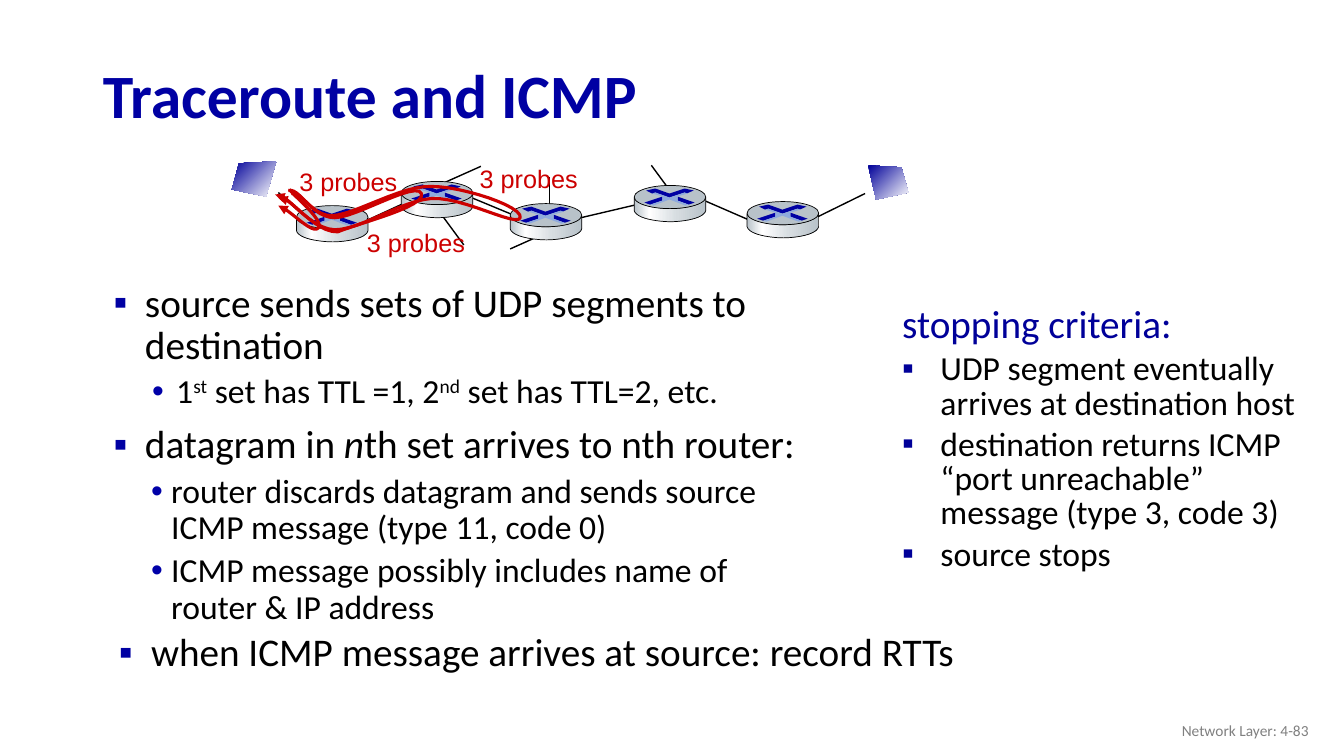
from dataclasses import dataclass

from lxml.etree import SubElement
from pptx import Presentation
from pptx.dml.color import RGBColor
from pptx.enum.shapes import MSO_CONNECTOR, MSO_SHAPE
from pptx.enum.text import MSO_ANCHOR, MSO_AUTO_SIZE, PP_ALIGN
from pptx.oxml.ns import qn
from pptx.util import Inches, Pt

Point = tuple[float, float]
Step = tuple[Point, ...]

SLIDE_WIDTH, SLIDE_HEIGHT = Inches(13.33), Inches(7.5)
COLUMN, ROW = SLIDE_WIDTH / 13.33, SLIDE_HEIGHT / 7.5
CURVE_PARTS = 12
NAVY, BLUE, BRIGHT, RED = "0000A3", "000099", "0000A8", "CC0000"
BLACK, WHITE, GREY, STEEL, PALE = "000000", "FFFFFF", "808080", "B8C2C9", "8FAADC"


@dataclass(frozen=True)
class Bullet:
    mark: str
    color: str
    margin: float
    hanging: float
    level: int = 0


@dataclass(frozen=True)
class Span:
    text: str
    italic: bool = False
    raised: bool = False


@dataclass(frozen=True)
class Entry:
    spans: tuple[Span, ...]
    size: int
    color: str = BLACK
    bullet: Bullet | None = None
    space_before: int = 0


@dataclass(frozen=True)
class TextArea:
    left: float
    top: float
    width: float
    height: float
    entries: tuple[Entry, ...]
    line_spacing: float = 1.0
    font: str = "Calibri"
    wrap: bool = True
    align: PP_ALIGN = PP_ALIGN.LEFT
    anchor: MSO_ANCHOR = MSO_ANCHOR.TOP


@dataclass(frozen=True)
class Outline:
    start: Point
    steps: tuple[Step, ...]
    fill: str | None = None
    stops: tuple[tuple[int, str], ...] = ()
    angle: int = 0
    line: str | None = None
    weight: float = 0.5
    arrow: bool = False


def straight(*points: Point) -> tuple[Step, ...]:
    return tuple((point,) for point in points)


def entry(text: str, size: int, color: str = BLACK, bullet: Bullet | None = None, space: int = 0) -> Entry:
    return Entry((Span(text),), size, color, bullet, space)


SQUARE = Bullet("▪", NAVY, 0.31, 0.31)
DOT = Bullet("•", BRIGHT, 0.62, 0.24, 1)
CLOSE_DOT = Bullet("•", BRIGHT, 0.57, 0.2, 1)
STOP_SQUARE = Bullet("▪", BLUE, 0.38, 0.38)

AREAS = (
    TextArea(10.08, 7.05, 3, 0.4, (entry("Network Layer: 4-83", 11, GREY),),
             align=PP_ALIGN.RIGHT, anchor=MSO_ANCHOR.MIDDLE),
    TextArea(1.03, 2.76, 7, 3.54, (
        entry("source sends sets of UDP segments to destination", 28, bullet=SQUARE),
        Entry((Span("1"), Span("st", raised=True), Span(" set has TTL =1, 2"), Span("nd", raised=True),
               Span(" set has TTL=2, etc.")), 24, BLACK, DOT, 5),
        Entry((Span("datagram in "), Span("n", italic=True), Span("th set arrives to nth router:")),
              28, BLACK, SQUARE, 10),
        entry("router discards datagram and sends source ICMP message (type 11, code 0)", 24, BLACK, CLOSE_DOT, 5),
        entry("ICMP message possibly includes name of router & IP address", 24, BLACK, CLOSE_DOT, 5),
    ), 0.9),
    TextArea(1.08, 6.23, 10.93, 0.6, (
        entry("when ICMP message arrives at source: record RTTs", 28, bullet=Bullet("▪", NAVY, 0.32, 0.32)),
    ), 0.9),
    TextArea(8.85, 2.99, 4.17, 2.81, (
        entry("stopping criteria:", 28, BLUE),
        entry("UDP segment eventually arrives at destination host", 24, BLACK, STOP_SQUARE, 5),
        entry("destination returns ICMP “port unreachable” message (type 3, code 3)", 24, BLACK, STOP_SQUARE, 5),
        entry("source stops", 24, BLACK, STOP_SQUARE, 5),
    ), 0.85),
) + tuple(
    TextArea(left, top, 1.17, 0.4, (entry("3 probes", 18, RED),), font="Arial", wrap=False)
    for left, top in ((2.87, 1.6), (3.54, 2.21), (4.66, 1.57))
)

LINKS = (
    ((2.76, 1.91), (3.08, 2.2)), ((3.63, 2.19), (4.13, 1.96)), ((4.65, 1.95), (5.18, 2.17)),
    ((4.77, 1.65), (4.39, 1.82)), ((4.35, 2.09), (4.6, 2.43)), ((6.4, 2.01), (5.72, 2.17)),
    ((6.94, 1.97), (7.47, 2.2)), ((8.58, 1.92), (7.97, 2.22)), ((6.46, 1.64), (6.71, 1.98)),
    ((5.44, 2.3), (5.06, 2.47)), ((5.45, 1.76), (5.45, 2.04)),
)

ROUTERS = ((2.94, 2.04), (3.98, 1.8), (5.06, 2.02), (6.29, 1.84), (7.41, 2.0))
ROUTER_BODY = Outline((0.71, 0.12), (
    ((0.71, 0.25),), ((0.69, 0.33), (0.48, 0.36), (0.36, 0.36)), ((0.24, 0.36), (0.02, 0.33), (0, 0.25)),
    ((0, 0.12),), ((0.03, 0.19), (0.23, 0.23), (0.35, 0.23)), ((0.47, 0.23), (0.68, 0.2), (0.71, 0.12)),
), stops=((0, STEEL), (21, WHITE), (60, "D6DCE0"), (100, STEEL)), line=BLACK)
ROUTER_MARKS = (
    Outline((0.5, 0.03), straight((0.59, 0.05), (0.52, 0.08), (0.5, 0.07), (0.35, 0.12), (0.21, 0.07),
                                  (0.18, 0.08), (0.12, 0.05), (0.21, 0.03), (0.35, 0.08)), NAVY),
    Outline((0.43, 0.11), straight((0.6, 0.17), (0.54, 0.19), (0.43, 0.15)), NAVY),
    Outline((0.28, 0.11), straight((0.28, 0.15), (0.16, 0.19), (0.1, 0.17)), BRIGHT),
    Outline((0.18, 0.08), straight((0.21, 0.07), (0.35, 0.12), (0.5, 0.07), (0.53, 0.08), (0.43, 0.11),
                                   (0.43, 0.15), (0.54, 0.19), (0.51, 0.2), (0.35, 0.14), (0.19, 0.2),
                                   (0.16, 0.19), (0.28, 0.15), (0.28, 0.11)), PALE),
)

HOST_STOPS = ((0, BLUE), (100, WHITE))
HOSTS = (
    Outline((2.74, 1.6), straight((2.37, 1.62), (2.3, 1.88), (2.64, 1.95)), stops=HOST_STOPS, angle=45),
    Outline((8.61, 1.64), straight((8.94, 1.66), (9.01, 1.91), (8.69, 1.98)), stops=HOST_STOPS, angle=45),
)

PROBES = tuple(Outline(start, steps, line=RED, weight=2.25, arrow=True) for start, steps in (
    ((2.87, 1.88), (((2.91, 1.94), (3.22, 2.19), (3.16, 2.26)), ((3.1, 2.34), (2.87, 2.07), (2.76, 2.04)))),
    ((2.89, 1.92), (((2.99, 1.89), (3.1, 2.16), (3.32, 2.16)), ((3.53, 2.16), (4.13, 1.79), (4.18, 1.92)),
                    ((4.23, 2.05), (3.57, 2.21), (3.35, 2.3)), ((3.11, 2.31), (2.86, 1.92), (2.76, 1.96)))),
    ((2.86, 1.89), (((2.97, 1.86), (3.08, 2.14), (3.29, 2.14)), ((3.53, 2.13), (3.97, 1.84), (4.28, 1.85)),
                    ((4.59, 1.85), (5.19, 2.05), (5.16, 2.16)), ((5.13, 2.26), (4.59, 1.95), (4.28, 1.97)),
                    ((3.98, 1.99), (3.58, 2.28), (3.32, 2.28)), ((3.06, 2.27), (2.84, 1.9), (2.73, 1.93)))),
))


def rgb(value: str) -> RGBColor:
    return RGBColor.from_string(value)


def place(point: Point, origin: Point = (0, 0)) -> tuple[int, int]:
    return round((point[0] + origin[0]) * COLUMN), round((point[1] + origin[1]) * ROW)


def trace(outline: Outline) -> list[Point]:
    points = [outline.start]
    for step in outline.steps:
        if len(step) == 1:
            points.append(step[0])
            continue
        corners = (points[-1], *step)
        for part in range(1, CURVE_PARTS + 1):
            share = part / CURVE_PARTS
            rest = 1 - share
            weights = (rest ** 3, 3 * rest ** 2 * share, 3 * rest * share ** 2, share ** 3)
            points.append(tuple(sum(w * corner[axis] for w, corner in zip(weights, corners)) for axis in (0, 1)))
    return points


def paint(shape, fill: str | None, line: str | None, weight: float) -> None:
    shape.shadow.inherit = False
    if fill:
        shape.fill.solid()
        shape.fill.fore_color.rgb = rgb(fill)
    else:
        shape.fill.background()
    if line:
        shape.line.color.rgb = rgb(line)
        shape.line.width = Pt(weight)
    else:
        shape.line.fill.background()


def draw_outline(shapes, outline: Outline, origin: Point = (0, 0)) -> None:
    points = [place(point, origin) for point in trace(outline)]
    builder = shapes.build_freeform(*points[0])
    builder.add_line_segments(points[1:], close=not outline.arrow)
    shape = builder.convert_to_shape()
    paint(shape, outline.fill, outline.line, outline.weight)
    if outline.stops:
        shape.fill.gradient()
        shape.fill.gradient_angle = (360 - outline.angle) % 360
        stop_list = shape._element.spPr.find(qn("a:gradFill")).find(qn("a:gsLst"))
        stop_list.clear()
        for position, color in outline.stops:
            stop = SubElement(stop_list, qn("a:gs"), pos=str(position * 1000))
            SubElement(stop, qn("a:srgbClr"), val=color)
    if outline.arrow:
        SubElement(shape.line._get_or_add_ln(), qn("a:tailEnd"), type="triangle")


def draw_router(shapes, origin: Point) -> None:
    group = shapes.add_group_shape()
    draw_outline(group.shapes, ROUTER_BODY, origin)
    top = group.shapes.add_shape(MSO_SHAPE.OVAL, *place(origin), *place((0.71, 0.23)))
    paint(top, STEEL, BLACK, 0.5)
    for mark in ROUTER_MARKS:
        draw_outline(group.shapes, mark, origin)


def draw_link(shapes, start: Point, end: Point) -> None:
    link = shapes.add_connector(MSO_CONNECTOR.STRAIGHT, *place(start), *place(end))
    link.line.color.rgb = rgb(BLACK)
    link.line.width = Pt(1)
    SubElement(link._element.spPr, qn("a:effectLst"))


def add_bullet(para, bullet: Bullet) -> None:
    para.level = bullet.level
    properties = para._p.get_or_add_pPr()
    properties.set("marL", str(Inches(bullet.margin)))
    properties.set("indent", str(-Inches(bullet.hanging)))
    SubElement(SubElement(properties, qn("a:buClr")), qn("a:srgbClr"), val=bullet.color)
    SubElement(properties, qn("a:buFont"), typeface="Arial")
    SubElement(properties, qn("a:buChar"), char=bullet.mark)


def format_span(span, font: str, size: int, color: str) -> None:
    span.font.name = font
    span.font.size = Pt(size)
    span.font.color.rgb = rgb(color)


def draw_area(shapes, area: TextArea) -> None:
    box = shapes.add_textbox(*place((area.left, area.top)), *place((area.width, area.height)))
    frame = box.text_frame
    frame.word_wrap = area.wrap
    frame.vertical_anchor = area.anchor
    for index, item in enumerate(area.entries):
        para = frame.add_paragraph() if index else frame.paragraphs[0]
        if item.bullet:
            add_bullet(para, item.bullet)
        para.alignment = area.align
        para.line_spacing = area.line_spacing
        if index:
            para.space_before = Pt(item.space_before)
        for part in item.spans:
            span = para.add_run()
            span.text = part.text
            format_span(span, area.font, item.size, item.color)
            if part.italic:
                span.font.italic = True
            if part.raised:
                span._r.get_or_add_rPr().set("baseline", "30000")


def set_title(title) -> None:
    title.left, title.top = place((0.92, 0.49))
    title.width, title.height = place((11.5, 0.98))
    frame = title.text_frame
    frame.text = "Traceroute and ICMP"
    frame.auto_size = MSO_AUTO_SIZE.NONE
    frame.vertical_anchor = MSO_ANCHOR.MIDDLE
    para = frame.paragraphs[0]
    para.alignment = PP_ALIGN.LEFT
    para.line_spacing = 0.9
    format_span(para.runs[0], "Calibri", 44, NAVY)
    para.runs[0].font.bold = True


def main() -> None:
    deck = Presentation()
    deck.slide_width, deck.slide_height = SLIDE_WIDTH, SLIDE_HEIGHT
    page = deck.slides.add_slide(deck.slide_layouts[5])
    set_title(page.shapes.title)
    for start, end in LINKS:
        draw_link(page.shapes, start, end)
    for origin in ROUTERS:
        draw_router(page.shapes, origin)
    for area in AREAS:
        draw_area(page.shapes, area)
    for outline in HOSTS + PROBES:
        draw_outline(page.shapes, outline)
    deck.save("out.pptx")


if __name__ == "__main__":
    main()
